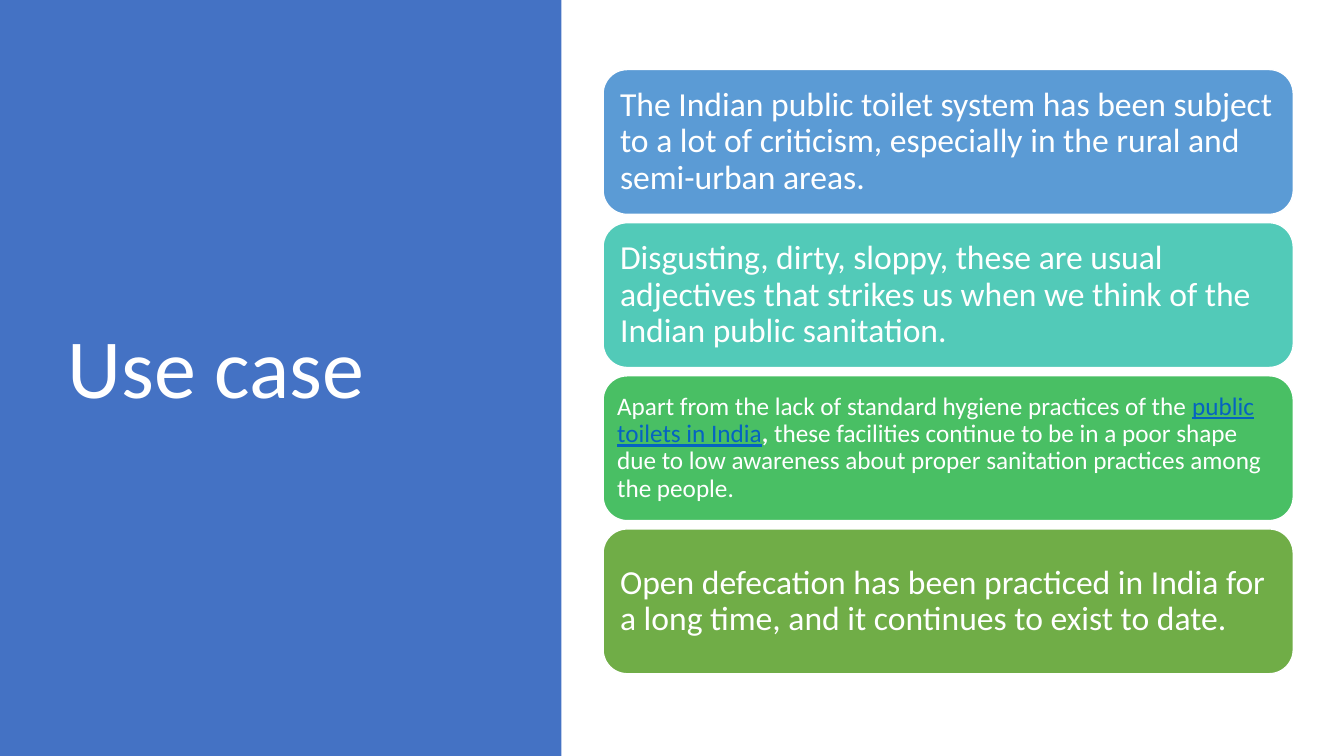
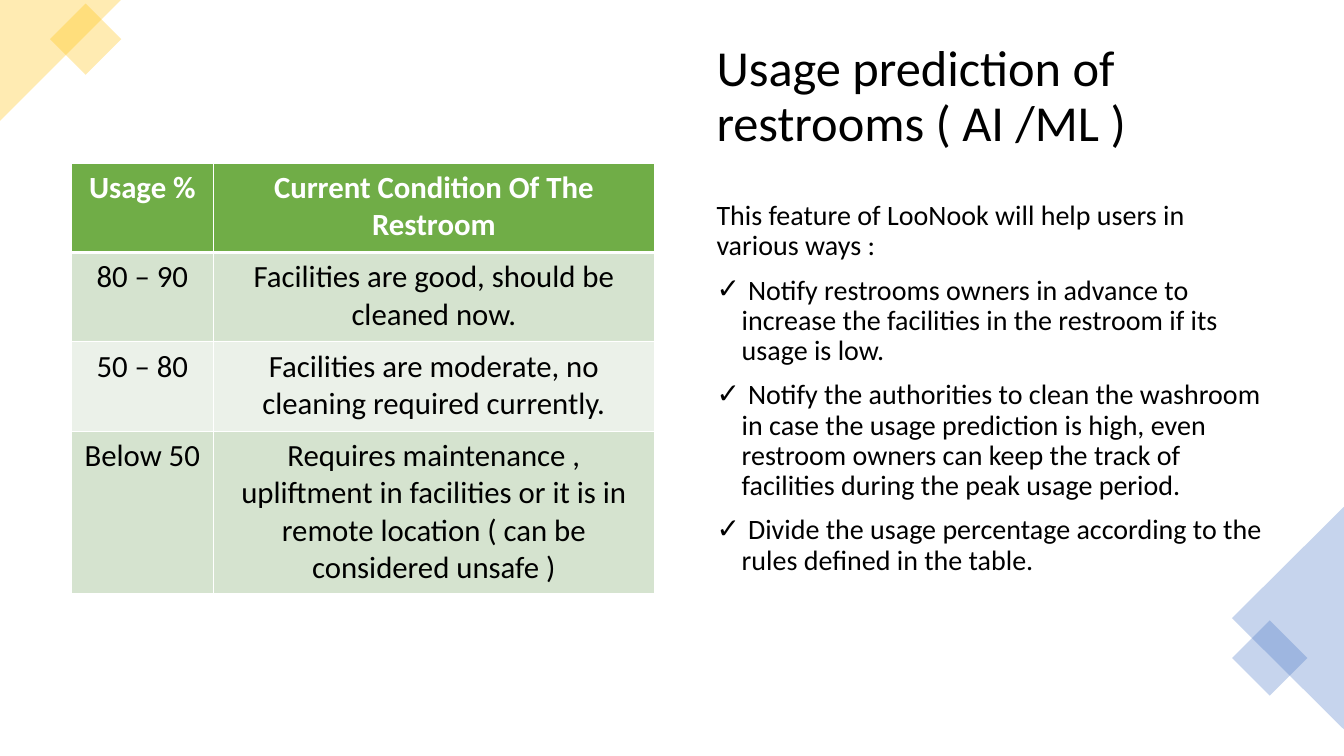
from collections import namedtuple

from pptx import Presentation
from pptx.dml.color import RGBColor
from pptx.enum import shapes, text
from pptx.oxml import ns, xmlchemy
from pptx.util import Pt

FONT = "Calibri"
WHITE = RGBColor(0xFF, 0xFF, 0xFF)
BLACK = RGBColor(0, 0, 0)
BLUE = RGBColor(0x44, 0x72, 0xC4)
GOLD = RGBColor(0xFF, 0xC0, 0x00)
GREEN = RGBColor(0x70, 0xAD, 0x47)
LINK = RGBColor(0x05, 0x63, 0xC1)
BANDS = (RGBColor(0xD5, 0xE3, 0xCF), RGBColor(0xEB, 0xF1, 0xE9))
CARD_FILLS = (RGBColor(0x5B, 0x9B, 0xD5), RGBColor(0x52, 0xCA, 0xB8),
              RGBColor(0x49, 0xBF, 0x64), GREEN)

Box = namedtuple("Box", "left top width height")
Card = namedtuple("Card", "size inset spans")

SLIDE = Box(0, 0, 960, 540)
LINE_SPACING = 0.9

# Each span is its text and its style.
CARDS = (
    Card(24, 7.2, [("The Indian public toilet system has been subject to a lot of "
                    "criticism, especially in the rural and semi-urban areas.", "plain")]),
    Card(24, 7.2, [("Disgusting, dirty, sloppy, these are usual adjectives that strikes "
                    "us when we think of the Indian public sanitation.", "plain")]),
    Card(18, 5, [("Apart from the lack of standard hygiene practices of the ", "plain"),
                 ("public toilets in India", "link"),
                 (",", "bold"),
                 (" these facilities continue to be in a poor shape due to low awareness "
                  "about proper sanitation practices among the people.", "plain")]),
    Card(24, 7.2, [("Open defecation has been practiced in India for a long time, "
                    "and it continues to exist to date.", "plain")]),
)
USAGE_ROWS = (
    ("Usage %", "Current Condition Of The Restroom"),
    ("80 – 90", "Facilities are good, should be cleaned now."),
    ("50 – 80", "Facilities are moderate, no cleaning required currently."),
    ("Below 50", "Requires maintenance , upliftment in facilities or it is in remote "
                 "location ( can be considered unsafe )"),
)
INTRO = "This feature of LooNook will help users in various ways :"
BENEFITS = (
    " Notify restrooms owners in advance to increase the facilities in the restroom "
    "if its usage is low.",
    " Notify the authorities to clean the washroom in case the usage prediction is high, "
    "even restroom owners can keep the track of facilities during the peak usage period.",
    " Divide the usage percentage according to the rules defined in the table.",
)


def in_points(box):
    return [Pt(length) for length in box]


def add_xml(parent, tag, **attributes):
    child = xmlchemy.OxmlElement(tag)
    for name, value in attributes.items():
        child.set(name, str(value))
    parent.append(child)
    return child


def style_span(span, size, color, bold=False):
    span.font.name = FONT
    span.font.size = Pt(size)
    span.font.color.rgb = color
    span.font.bold = bold


def add_filled_shape(page, kind, box, fill, rotation=0, alpha=None):
    """Add a preset shape without outline; alpha is its opacity in percent."""
    shape = page.shapes.add_shape(kind, *in_points(box))
    shape.shadow.inherit = False
    shape.rotation = rotation
    shape.fill.solid()
    shape.fill.fore_color.rgb = fill
    shape.line.fill.background()
    if alpha is not None:
        color = shape.fill._xPr.find(".//" + ns.qn("a:srgbClr"))
        add_xml(color, "a:alpha", val=alpha * 1000)
    return shape


def add_text_box(page, box, lines, size, color, anchor, space_before=0):
    frame = page.shapes.add_textbox(*in_points(box)).text_frame
    frame.word_wrap = True
    frame.vertical_anchor = anchor
    frame.text = "\n".join(lines)
    for para in frame.paragraphs:
        para.line_spacing = LINE_SPACING
        para.space_before = Pt(space_before)
        style_span(para.runs[0], size, color)
    return frame


def add_title(page, box, title, size, color):
    add_text_box(page, box, [title], size, color, text.MSO_ANCHOR.MIDDLE)


def add_card(page, box, card, fill):
    shape = add_filled_shape(page, shapes.MSO_SHAPE.ROUNDED_RECTANGLE, box, fill)
    shape.line.color.rgb = WHITE
    shape.line.width = Pt(1)
    frame = shape.text_frame
    frame.word_wrap = True
    frame.vertical_anchor = text.MSO_ANCHOR.MIDDLE
    frame.margin_left = frame.margin_right = Pt(card.inset)
    frame.margin_top = frame.margin_bottom = Pt(card.inset)
    para = frame.paragraphs[0]
    para.alignment = text.PP_ALIGN.LEFT
    para.line_spacing = LINE_SPACING
    for words, style in card.spans:
        span = para.add_run()
        span.text = words
        style_span(span, card.size, LINK if style == "link" else WHITE, style == "bold")
        span.font.underline = style == "link"


def add_card_stack(page, box, gap):
    height = (box.height - gap * (len(CARDS) - 1)) / len(CARDS)
    for index, (card, fill) in enumerate(zip(CARDS, CARD_FILLS)):
        top = box.top + index * (height + gap)
        add_card(page, Box(box.left, top, box.width, height), card, fill)


def add_corner_top_left(page, box):
    """Right-angled corner with a small diamond near its right end."""
    add_filled_shape(page, shapes.MSO_SHAPE.RIGHT_TRIANGLE, box, GOLD, 90, 30)
    side = 36
    diamond = Box(box.left + box.width / 2, box.top + 10, side, side)
    add_filled_shape(page, shapes.MSO_SHAPE.RECTANGLE, diamond, GOLD, 45, 30)


def add_edge_bottom_right(page, box):
    """Triangle pointing left that fills the box, with a diamond over its lower side."""
    unrotated = Box(box.left + (box.width - box.height) / 2,
                    box.top + (box.height - box.width) / 2, box.height, box.width)
    add_filled_shape(page, shapes.MSO_SHAPE.ISOSCELES_TRIANGLE, unrotated, BLUE, 270, 30)
    side = 38
    diamond = Box(box.left + 8, box.top + 89, side, side)
    add_filled_shape(page, shapes.MSO_SHAPE.RECTANGLE, diamond, BLUE, 45, 30)


def set_borders(cell, bottom_width):
    properties = cell._tc.get_or_add_tcPr()
    for side, width in (("L", 1), ("R", 1), ("T", 1), ("B", bottom_width)):
        line = add_xml(properties, f"a:ln{side}", w=Pt(width))
        add_xml(add_xml(line, "a:solidFill"), "a:srgbClr", val=WHITE)


def add_usage_table(page, box):
    table = page.shapes.add_table(len(USAGE_ROWS), 2, *in_points(box)).table
    table.horz_banding = False
    first_width, short_row = 101.5, 63.8
    table.columns[0].width = Pt(first_width)
    table.columns[1].width = Pt(box.width - first_width)
    for row_index, labels in enumerate(USAGE_ROWS):
        header = row_index == 0
        last = row_index == len(USAGE_ROWS) - 1
        table.rows[row_index].height = Pt(
            box.height - short_row * row_index if last else short_row)
        for column_index, label in enumerate(labels):
            cell = table.cell(row_index, column_index)
            cell.text = label
            cell.margin_left = cell.margin_right = Pt(8.6)
            cell.margin_top = cell.margin_bottom = Pt(4.3)
            set_borders(cell, 3 if header else 1)
            cell.fill.solid()
            cell.fill.fore_color.rgb = GREEN if header else BANDS[(row_index - 1) % 2]
            para = cell.text_frame.paragraphs[0]
            para.alignment = text.PP_ALIGN.CENTER
            style_span(para.runs[0], 22, WHITE if header else BLACK, header)


def add_benefits(page, box):
    frame = add_text_box(page, box, (INTRO, *BENEFITS), 20, BLACK,
                         text.MSO_ANCHOR.TOP, space_before=10)
    for para in frame.paragraphs[1:]:
        properties = para._p.get_or_add_pPr()
        properties.set("marL", str(Pt(18)))
        properties.set("indent", str(Pt(-18)))
        add_xml(properties, "a:buFont", typeface=FONT)
        add_xml(properties, "a:buChar", char="✓")


def build_use_case(page):
    band = Box(0, 0, 401, SLIDE.height)
    add_filled_shape(page, shapes.MSO_SHAPE.RECTANGLE, band, BLUE)
    add_title(page, Box(41, 49, 300, 433), "Use case", 60, WHITE)
    add_card_stack(page, Box(430.8, 49.7, 493, 431.6), gap=5.9)


def build_usage_prediction(page):
    add_title(page, Box(504.7, 25.2, 404.6, 89.3),
              "Usage prediction of restrooms ( AI /ML )", 36, BLACK)
    add_corner_top_left(page, Box(0, 0, 86.4, 86.4))
    add_benefits(page, Box(504.7, 140.4, 404.6, 346.3))
    add_edge_bottom_right(page, Box(880, 362, 80, 159))
    add_usage_table(page, Box(50.9, 116.6, 416.5, 307.4))


def main():
    deck = Presentation()
    deck.slide_width, deck.slide_height = Pt(SLIDE.width), Pt(SLIDE.height)
    for build in (build_use_case, build_usage_prediction):
        build(deck.slides.add_slide(deck.slide_layouts[6]))
    deck.save("out.pptx")


if __name__ == "__main__":
    main()
